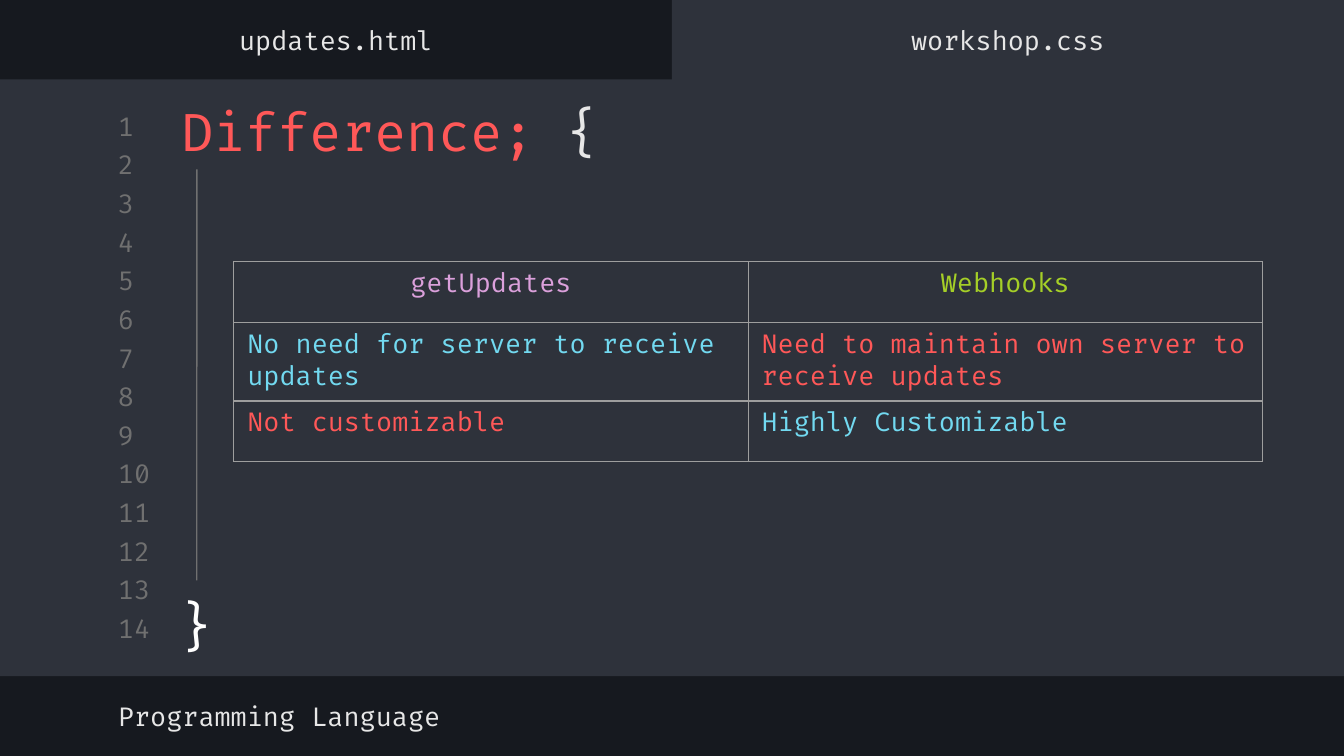
from lxml import etree
from pptx import Presentation
from pptx.dml.color import RGBColor
from pptx.enum.shapes import MSO_CONNECTOR, MSO_SHAPE
from pptx.enum.text import MSO_ANCHOR, MSO_AUTO_SIZE, PP_ALIGN
from pptx.oxml.ns import qn
from pptx.util import Cm, Pt

LEFT, CENTER = PP_ALIGN.LEFT, PP_ALIGN.CENTER
TOP, MIDDLE = MSO_ANCHOR.TOP, MSO_ANCHOR.MIDDLE
RECTANGLE, STRAIGHT = MSO_SHAPE.RECTANGLE, MSO_CONNECTOR.STRAIGHT
NO_AUTOFIT = MSO_AUTO_SIZE.NONE
TITLE_ONLY = 5

THEME = {
    "font": "Fira Code", "title": 28, "body": 14, "line": 0.75,
    "bar": "16191F", "editor": "2E323B", "muted": "707070", "border": "9E9E9E",
    "light": "E7E7E7", "white": "FFFFFF", "red": "FF5858", "blue": "72D9F0",
    "pink": "DBA0DB", "green": "A5CF27",
}

# Content
TITLE = [("Difference; ", "red"), ("{", "light")]
CLOSING_BRACE = "}"
TABS = ["updates.html", "workshop.css"]
FOOTER = "Programming Language"
LINE_COUNT = 14
COMPARISON = [
    [("getUpdates", "pink"), ("Webhooks", "green")],
    [("No need for server to receive updates", "blue"),
     ("Need to maintain own server to receive updates", "red")],
    [("Not customizable", "red"), ("Highly Customizable", "blue")],
]

# Layout, in centimetres
WIDTH, HEIGHT = 25.4, 14.29
TAB_WIDTH, TAB_HEIGHT = WIDTH / 2, 1.75
EDITOR_TOP, EDITOR_HEIGHT = 1.5, 11.28
MARGIN = 1.98
NUMBER_TOP, NUMBER_PITCH = 2.08, 0.73
TABLE_LEFT, TABLE_TOP, COLUMN_WIDTH = 4.42, 4.95, 9.72
ROW_HEIGHTS = [1.15, 1.48, 1.15]


def color(name):
    return RGBColor.from_string(THEME[name])


def write(frame, runs, size="body", align=LEFT, anchor=MIDDLE, inset=0.25):
    frame.word_wrap = True
    frame.auto_size = NO_AUTOFIT
    frame.vertical_anchor = anchor
    frame.margin_left = frame.margin_right = Cm(inset)
    frame.margin_top = frame.margin_bottom = Cm(inset)
    write_runs(frame.paragraphs[0], runs, size, align)


def write_runs(paragraph, runs, size, align):
    paragraph.alignment = align
    for words, shade in runs:
        run = paragraph.add_run()
        run.text = words
        run.font.name = THEME["font"]
        run.font.size = Pt(THEME[size])
        run.font.color.rgb = color(shade)


def add_text(slide, box, runs, **style):
    label = slide.shapes.add_textbox(*map(Cm, box))
    write(label.text_frame, runs, **style)
    return label


def add_panel(slide, *box):
    panel = slide.shapes.add_shape(RECTANGLE, *map(Cm, box))
    panel.shadow.inherit = False
    panel.fill.solid()
    panel.fill.fore_color.rgb = color("editor")
    panel.line.fill.background()


def add_borders(cell):
    properties = cell._tc.get_or_add_tcPr()
    for side in ("lnL", "lnR", "lnT", "lnB"):
        border = etree.SubElement(properties, qn(f"a:{side}"), w=str(Pt(THEME["line"])))
        fill = etree.SubElement(border, qn("a:solidFill"))
        etree.SubElement(fill, qn("a:srgbClr"), val=THEME["border"])


def add_comparison(slide):
    columns = len(COMPARISON[0])
    table = slide.shapes.add_table(
        len(COMPARISON), columns, Cm(TABLE_LEFT), Cm(TABLE_TOP),
        Cm(COLUMN_WIDTH * columns), Cm(sum(ROW_HEIGHTS))).table
    table.first_row = table.horz_banding = False
    for column in table.columns:
        column.width = Cm(COLUMN_WIDTH)
    for r, (entries, height) in enumerate(zip(COMPARISON, ROW_HEIGHTS)):
        table.rows[r].height = Cm(height)
        for c, entry in enumerate(entries):
            cell = table.cell(r, c)
            add_borders(cell)
            cell.fill.background()
            write_runs(cell.text_frame.paragraphs[0], [entry], "body",
                       LEFT if r else CENTER)


def main():
    deck = Presentation()
    deck.slide_width, deck.slide_height = Cm(WIDTH), Cm(HEIGHT)
    slide = deck.slides.add_slide(deck.slide_layouts[TITLE_ONLY])
    slide.background.fill.solid()
    slide.background.fill.fore_color.rgb = color("bar")

    # Editor area and its active tab
    add_panel(slide, 0, EDITOR_TOP, WIDTH, EDITOR_HEIGHT)
    add_panel(slide, TAB_WIDTH, 0, TAB_WIDTH, TAB_HEIGHT)

    # Line numbers
    for i in range(LINE_COUNT):
        add_text(slide, (MARGIN, NUMBER_TOP + i * NUMBER_PITCH, 1.2, 0.6),
                 [(str(i + 1), "muted")])

    # Title, brought in front of the panels
    title = slide.shapes.title
    slide.shapes._spTree.append(title._element)
    title.left, title.top, title.width, title.height = map(Cm, (3.18, 1.63, 20.24, 1.5))
    write(title.text_frame, TITLE, size="title", anchor=TOP)

    # Closing brace and indent guide
    brace = add_text(slide, (3.02, 10.97, 1.4, 1.7), [(CLOSING_BRACE, "white")],
                     size="title", align=CENTER, anchor=TOP)
    guide = slide.shapes.add_connector(STRAIGHT, Cm(3.72), Cm(3.2), Cm(3.72), Cm(10.97))
    guide.end_connect(brace, 0)
    guide.line.color.rgb = color("muted")
    guide.line.width = Pt(THEME["line"])
    etree.SubElement(guide._element.spPr, qn("a:effectLst"))

    # Footer and tab names
    add_text(slide, (MARGIN, 13.03, 13.51, 1), [(FOOTER, "light")])
    for i, tab in enumerate(TABS):
        add_text(slide, (i * TAB_WIDTH, 0.25, TAB_WIDTH, 1), [(tab, "light")], align=CENTER)

    add_comparison(slide)
    deck.save("out.pptx")


if __name__ == "__main__":
    main()
